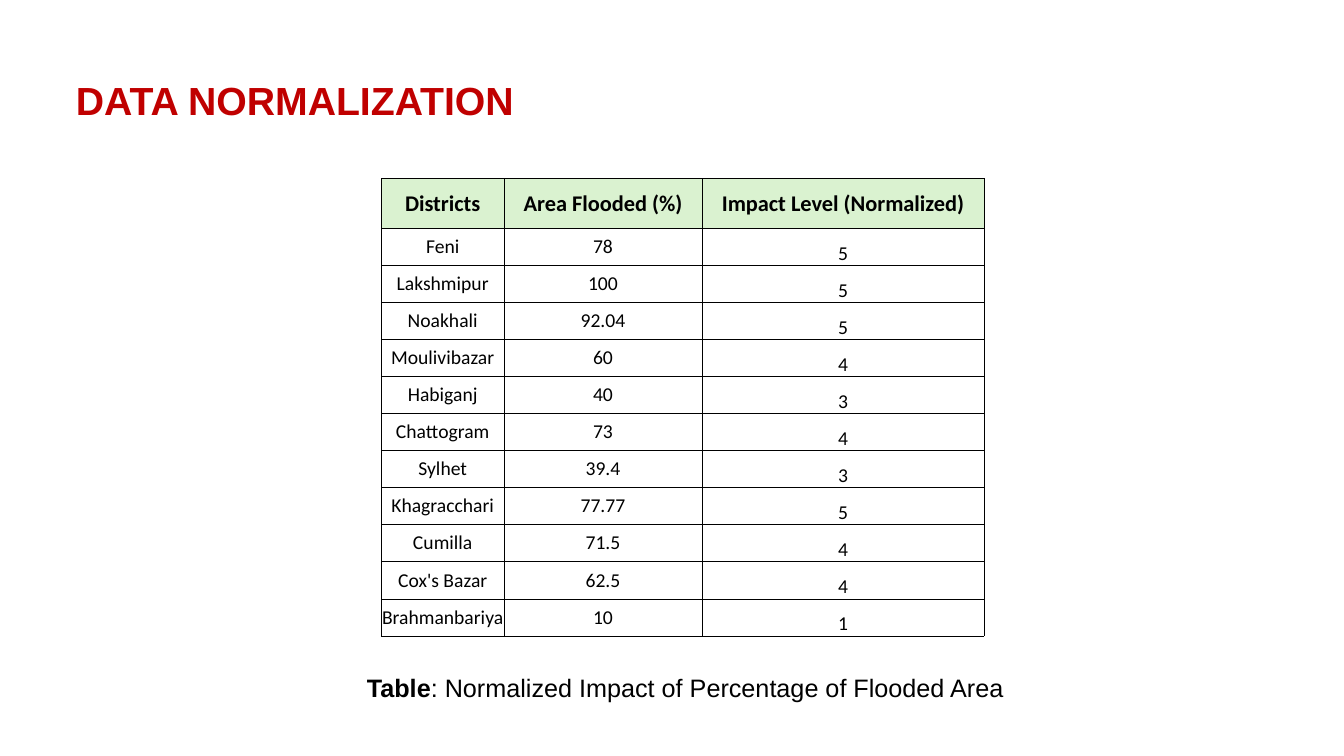
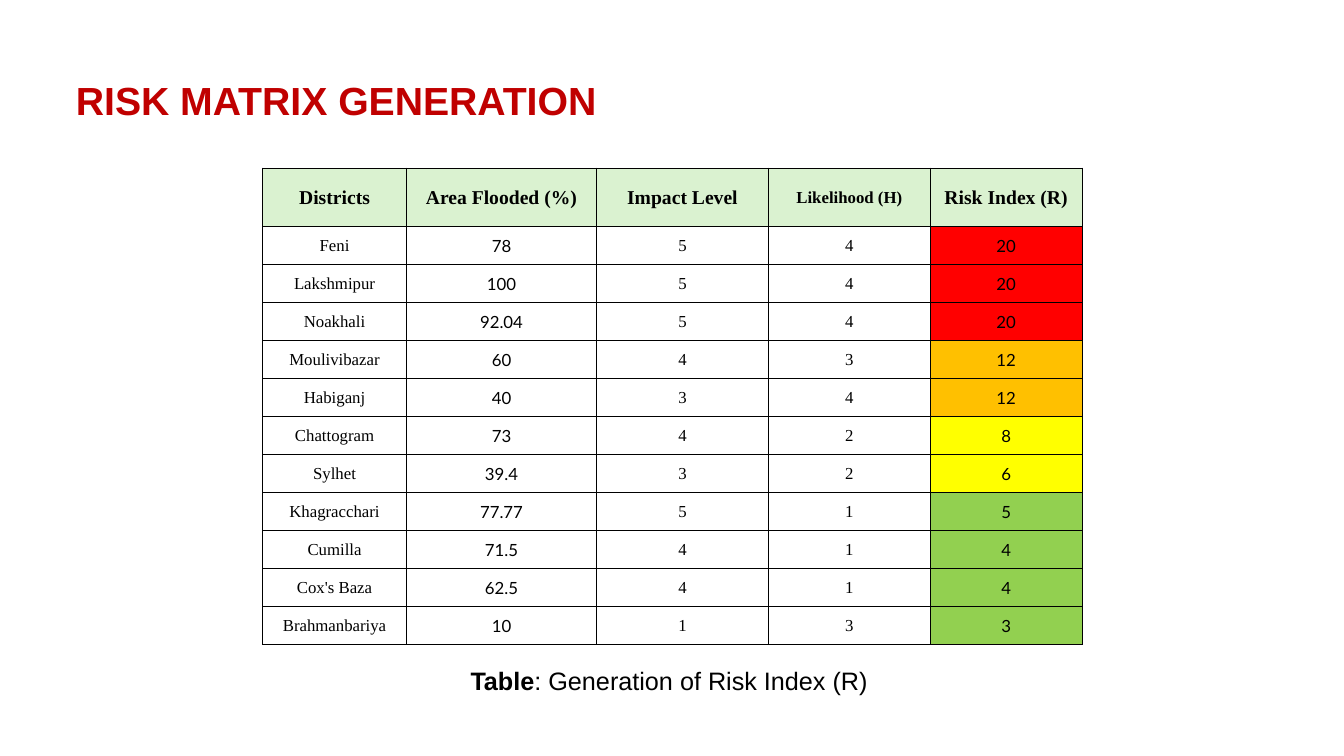
from lxml.etree import SubElement
from pptx import Presentation
from pptx.dml.color import RGBColor
from pptx.enum.text import MSO_ANCHOR, MSO_AUTO_SIZE, PP_ALIGN
from pptx.oxml.ns import qn
from pptx.util import Pt

# Shared look
TITLE_RED, BLACK, WHITE, HEADER_GREEN = "C00000", "000000", "FFFFFF", "DAF2D0"
TITLE_FORMAT = {"name": "Arial", "size": Pt(28), "bold": True}
CAPTION_FORMAT = {"name": "Arial", "size": Pt(18)}
RISK_BANDS = [(20, "FF0000"), (12, "FFC000"), (6, "FFFF00"), (0, "92D050")]

# District, flooded area, impact level, likelihood
DISTRICTS = [
    ("Feni", "78", 5, 4),
    ("Lakshmipur", "100", 5, 4),
    ("Noakhali", "92.04", 5, 4),
    ("Moulivibazar", "60", 4, 3),
    ("Habiganj", "40", 3, 4),
    ("Chattogram", "73", 4, 2),
    ("Sylhet", "39.4", 3, 2),
    ("Khagracchari", "77.77", 5, 1),
    ("Cumilla", "71.5", 4, 1),
    ("Cox's Bazar", "62.5", 4, 1),
    ("Brahmanbariya", "10", 1, 3),
]
impact_rows = [record[:3] for record in DISTRICTS]
risk_rows = [(name.replace("Bazar", "Baza") if name.startswith("Cox") else name,
              area, impact, likelihood, impact * likelihood)
             for name, area, impact, likelihood in DISTRICTS]

SLIDES = [
    {
        "title": "DATA NORMALIZATION",
        "header": ["Districts", "Area Flooded (%)", "Impact Level (Normalized)"],
        "rows": impact_rows,
        "origin": (272.5, 127.5),
        "widths": [87.5, 141.5, 201.5],
        "heights": (35.5, 26.5),
        "inset": 0,
        "header_font": "Calibri",
        "header_sizes": [16, 16, 16],
        "fonts": ["Calibri"] * 3,
        "size": 14,
        "anchors": [MSO_ANCHOR.MIDDLE, MSO_ANCHOR.MIDDLE, MSO_ANCHOR.BOTTOM],
        "caption": ": Normalized Impact of Percentage of Flooded Area",
        "caption_box": (255, 476.5, 496, 29),
    },
    {
        "title": "RISK MATRIX GENERATION",
        "header": ["Districts", "Area Flooded (%)", "Impact Level",
                   "Likelihood (H)", "Risk Index (R)"],
        "rows": risk_rows,
        "origin": (187.5, 120),
        "widths": [103, 135.5, 123, 115.5, 108.5],
        "heights": (42, 27.15),
        "inset": 0.6,
        "header_font": "Times New Roman",
        "header_sizes": [14, 14, 14, 12, 14],
        "fonts": ["Times New Roman", "Lato", "Times New Roman", "Times New Roman", "Lato"],
        "size": 12,
        "anchors": [MSO_ANCHOR.MIDDLE] * 5,
        "caption": ": Generation of Risk Index (R)",
        "caption_box": (329, 471.5, 303, 29),
    },
]


def color(hex_string):
    return RGBColor.from_string(hex_string)


def write(para, text, text_color, font_format):
    span = para.add_run()
    span.text = text
    span.font.color.rgb = color(text_color)
    for name, value in font_format.items():
        setattr(span.font, name, value)


deck = Presentation()
deck.slide_width, deck.slide_height = Pt(960), Pt(540)

for content in SLIDES:
    page = deck.slides.add_slide(deck.slide_layouts[5])

    # Title
    title = page.shapes.title
    title.left, title.top, title.width, title.height = Pt(47), Pt(51), Pt(508), Pt(41)
    title.text_frame.auto_size = MSO_AUTO_SIZE.NONE
    para = title.text_frame.paragraphs[0]
    para.alignment = PP_ALIGN.LEFT
    write(para, content["title"], TITLE_RED, TITLE_FORMAT)

    # Table grid
    header_height, row_height = content["heights"]
    row_count, column_count = len(content["rows"]) + 1, len(content["header"])
    left, top = content["origin"]
    table = page.shapes.add_table(
        row_count, column_count, Pt(left), Pt(top), Pt(sum(content["widths"])),
        Pt(header_height + row_height * (row_count - 1))).table
    for column, width in zip(table.columns, content["widths"]):
        column.width = Pt(width)
    for index, row in enumerate(table.rows):
        row.height = Pt(row_height if index else header_height)

    # Table cells
    for row_index, values in enumerate([content["header"]] + content["rows"]):
        is_header = row_index == 0
        for column_index, value in enumerate(values):
            cell = table.cell(row_index, column_index)
            cell.margin_left = cell.margin_right = cell.margin_top = Pt(content["inset"])
            cell.margin_bottom = Pt(0)
            cell.vertical_anchor = (MSO_ANCHOR.MIDDLE if is_header
                                    else content["anchors"][column_index])

            # Borders come before the fill in the cell properties
            properties = cell._tc.get_or_add_tcPr()
            for side in ("a:lnL", "a:lnR", "a:lnT", "a:lnB"):
                line = SubElement(properties, qn(side), w=str(Pt(0.5)))
                line_fill = SubElement(line, qn("a:solidFill"))
                SubElement(line_fill, qn("a:srgbClr"), val=BLACK)

            cell_color = HEADER_GREEN if is_header else WHITE
            if not is_header and content["header"][column_index] == "Risk Index (R)":
                cell_color = next(band for least, band in RISK_BANDS if value >= least)
            cell.fill.solid()
            cell.fill.fore_color.rgb = color(cell_color)

            font = content["header_font"] if is_header else content["fonts"][column_index]
            size = content["header_sizes"][column_index] if is_header else content["size"]
            para = cell.text_frame.paragraphs[0]
            para.alignment = PP_ALIGN.CENTER
            write(para, str(value), BLACK,
                  {"name": font, "size": Pt(size), "bold": is_header})

    # Caption
    box = page.shapes.add_textbox(*[Pt(length) for length in content["caption_box"]])
    box.text_frame.word_wrap = True
    para = box.text_frame.paragraphs[0]
    write(para, "Table", BLACK, {**CAPTION_FORMAT, "bold": True})
    write(para, content["caption"], BLACK, CAPTION_FORMAT)

deck.save("out.pptx")
